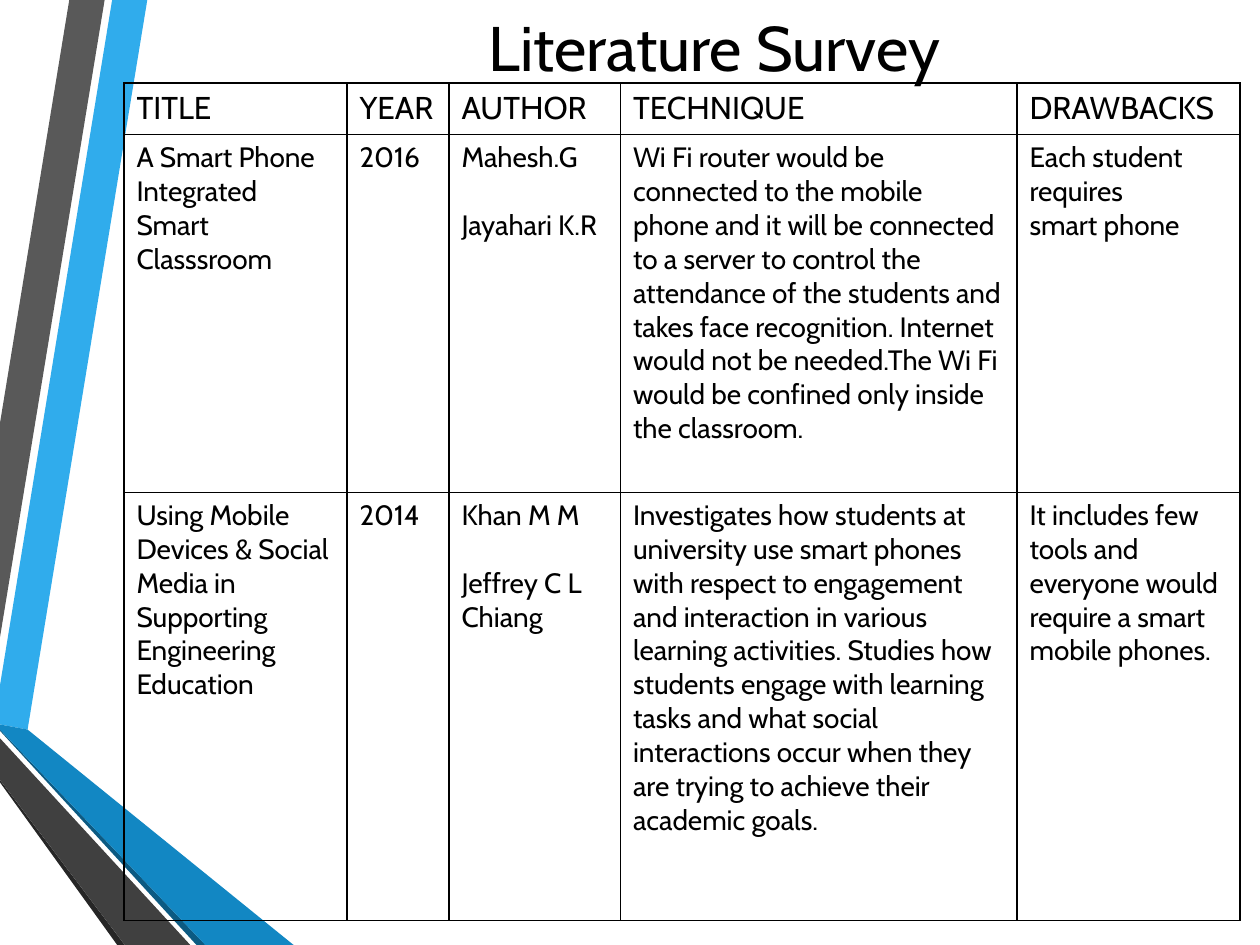
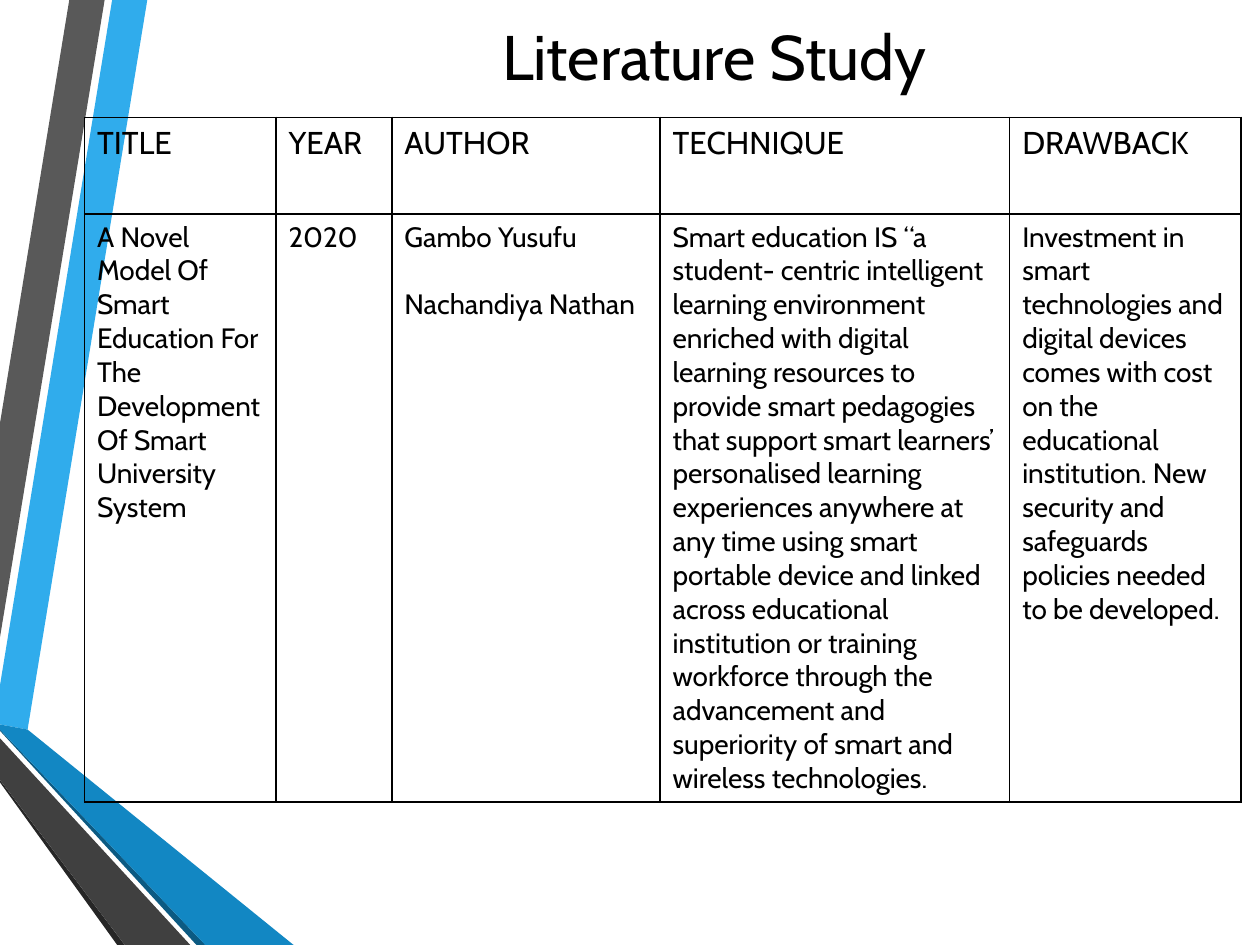
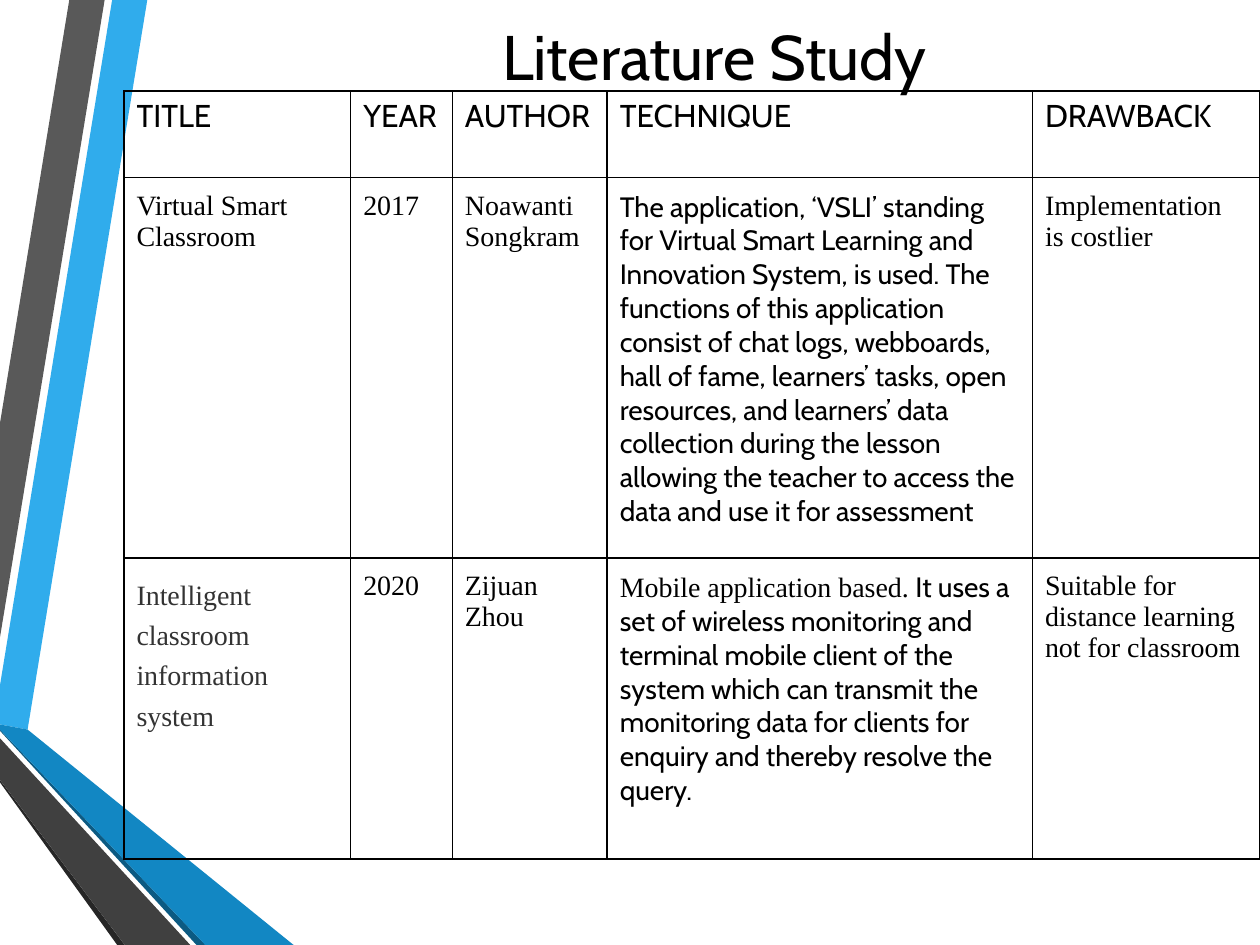
from lxml import etree
from pptx import Presentation
from pptx.dml.color import RGBColor
from pptx.enum.text import MSO_ANCHOR, PP_ALIGN
from pptx.oxml.ns import qn
from pptx.util import Pt

CENTER = PP_ALIGN.CENTER
MIDDLE = MSO_ANCHOR.MIDDLE
COLORS = {
    "text": "000000", "soft_text": "333333", "border": "000000",
    "sky": "30ACEC", "grey": "595959", "ink": "262626",
    "navy": "0C5A82", "blue": "1287C3", "charcoal": "404040",
}
BANDS = [
    ("sky", [(0, 391.7), (0, 414), (15.8, 416.9), (84.2, 0), (64.1, 0)]),
    ("grey", [(59.8, 0), (39.6, 0), (0, 241.9), (0, 364.3)]),
    ("ink", [(0, 445.7), (0, 447.1), (67, 540), (71.3, 540)]),
    ("navy", [(0, 416.9), (0, 417.6), (112.3, 540), (117.4, 540)]),
    ("blue", [(0, 416.9), (117.4, 540), (167.8, 540), (15.8, 416.9), (0, 414)]),
    ("charcoal", [(0, 445.7), (71.3, 540), (108.7, 540), (0, 421.9)]),
]
TITLE = {"size": 36, "name": "Cabin", "color": "text"}
HEADING = {"size": 18, "name": "Cabin", "color": "text"}
BODY = {"size": 16, "name": "Cabin", "color": "text"}
SERIF = {**BODY, "name": "Times New Roman"}
SOFT_SERIF = {**SERIF, "color": "soft_text"}
AUTHOR_COLUMN = 2
AUTHOR_GAP = 19.3
BORDER_WIDTH = 1
MARGINS = ("margin_left", "margin_top", "margin_right", "margin_bottom")
TIGHT = (7.2, 3.6, 7.2, 3.6)
ROOMY = (7.2, 7.2, 7.2, 7.2)
HEADINGS = ["TITLE", "YEAR", "AUTHOR", "TECHNIQUE"]

SURVEY_COLUMNS = [127.5, 58.3, 98, 226.6, 127.5]
SURVEY_ROWS = [
    ["A Smart Phone Integrated Smart Classsroom", "2016", "Mahesh.G\nJayahari K.R",
     "Wi Fi router would be connected to the mobile phone and it will be connected to a "
     "server to control the attendance of the students and takes face recognition. Internet "
     "would not be needed.The Wi Fi would be confined only inside the classroom.",
     "Each student requires\nsmart phone"],
    ["Using Mobile Devices & Social Media in Supporting Engineering Education", "2014",
     "Khan M M\nJeffrey C L Chiang",
     "Investigates how students at university use smart phones with respect to engagement "
     "and interaction in various learning activities. Studies how students engage with "
     "learning tasks and what social interactions occur when they are trying to achieve "
     "their academic goals.",
     "It includes few tools and everyone would require a smart mobile phones."],
]
MODEL_COLUMNS = [109.4, 66.2, 153.3, 199.8, 132.3]
MODEL_ROW = [
    "A Novel Model Of Smart Education For The Development Of Smart University System",
    "2020", "Gambo Yusufu\nNachandiya Nathan",
    "Smart education IS “a student- centric intelligent learning environment enriched with "
    "digital learning resources to provide smart pedagogies that support smart learners’ "
    "personalised learning experiences anywhere at any time using smart portable device and "
    "linked across educational institution or training workforce through the advancement and "
    "superiority of smart and wireless technologies.",
    "Investment in smart technologies and digital devices comes with cost on the educational "
    "institution. New security and safeguards policies needed to be developed.",
]
CLASSROOM_COLUMNS = [129.6, 58.1, 88.5, 243, 129.8]
CLASSROOM_ROWS = [
    ["Virtual Smart Classroom", "2017", "Noawanti Songkram",
     [("The application, ‘VSLI’ standing for Virtual Smart Learning and Innovation System, is "
       "used. The functions of this application consist of chat logs, webboards, hall of fame, "
       "learners’ tasks, open resources, and learners’ data collection during the lesson "
       "allowing the teacher to access the data and use it for assessment", BODY)],
     "Implementation is costlier"],
    [[("Intelligent classroom information system", SOFT_SERIF)], "2020", "Zijuan Zhou",
     [("Mobile application based.", SERIF),
      (" It uses a set of wireless monitoring and terminal mobile client of the system which "
       "can transmit the monitoring data for clients for enquiry and thereby resolve the "
       "query.", BODY)],
     "Suitable for distance learning not for classroom"],
]


def rgb(key):
    """Return the palette colour called key."""
    return RGBColor.from_string(COLORS[key])


def add_run(paragraph, text, style):
    """Append text to a paragraph in the given style."""
    run = paragraph.add_run()
    run.text = text
    for attribute, value in style.items():
        if attribute == "color":
            run.font.color.rgb = rgb(value)
        else:
            setattr(run.font, attribute, Pt(value) if attribute == "size" else value)


def set_margins(target, margins):
    """Set the four inner margins of a cell or text frame."""
    for side, length in zip(MARGINS, margins):
        setattr(target, side, Pt(length))


def draw_bands(slide):
    """Draw the folded ribbons on the left edge."""
    for color, points in BANDS:
        corners = [(Pt(x), Pt(y)) for x, y in points]
        outline = slide.shapes.build_freeform(*corners[0], scale=1.0)
        outline.add_line_segments(corners[1:], close=True)
        band = outline.convert_to_shape()
        band.shadow.inherit = False
        band.fill.solid()
        band.fill.fore_color.rgb = rgb(color)
        band.line.fill.background()


def draw_title(slide, text, top, height):
    """Write the centred slide title."""
    frame = slide.shapes.add_textbox(Pt(113), Pt(top), Pt(590.4), Pt(height)).text_frame
    frame.word_wrap = True
    frame.vertical_anchor = MIDDLE
    set_margins(frame, TIGHT)
    frame.paragraphs[0].alignment = CENTER
    add_run(frame.paragraphs[0], text, TITLE)


def draw_borders(cell):
    """Rule all four sides of a cell."""
    properties = cell._tc.get_or_add_tcPr()
    for side in ("a:lnL", "a:lnR", "a:lnT", "a:lnB"):
        line = etree.SubElement(properties, qn(side), w=str(Pt(BORDER_WIDTH)))
        fill = etree.SubElement(line, qn("a:solidFill"))
        etree.SubElement(fill, qn("a:srgbClr"), val=COLORS["border"])


def fill_cell(cell, content, style, margins, gap):
    """Write one cell, with gap points between its paragraphs."""
    draw_borders(cell)
    cell.fill.background()
    set_margins(cell, margins)
    if isinstance(content, str):
        paragraphs = [[(text, style)] for text in content.split("\n")]
    else:
        paragraphs = [content]
    frame = cell.text_frame
    for index, runs in enumerate(paragraphs):
        paragraph = frame.paragraphs[0] if index == 0 else frame.add_paragraph()
        if index:
            paragraph.space_before = Pt(gap)
        if runs[0][1] is SOFT_SERIF:
            paragraph.line_spacing = 1.3
        for text, run_style in runs:
            add_run(paragraph, text, run_style)


def draw_papers(slide, left, top, columns, heights, rows, style=BODY, margins=TIGHT):
    """Draw a table of papers; a row that opens with TITLE is its heading."""
    table = slide.shapes.add_table(len(rows), len(columns), Pt(left), Pt(top),
                                   Pt(sum(columns)), Pt(sum(heights))).table
    table.first_row = table.horz_banding = False
    for column, width in zip(table.columns, columns):
        column.width = Pt(width)
    for row, height, contents in zip(table.rows, heights, rows):
        row.height = Pt(height)
        heading = contents[0] == HEADINGS[0]
        for index, (cell, content) in enumerate(zip(row.cells, contents)):
            fill_cell(cell, content, HEADING if heading else style,
                      TIGHT if heading else margins,
                      AUTHOR_GAP if index == AUTHOR_COLUMN else 0)


def new_slide(deck, title, top, height):
    """Add a slide with the ribbons and a title."""
    slide = deck.slides.add_slide(deck.slide_layouts[6])
    draw_bands(slide)
    draw_title(slide, title, top, height)
    return slide


def main():
    """Build the three literature slides."""
    deck = Presentation()
    deck.slide_width, deck.slide_height = Pt(720), Pt(540)

    survey = new_slide(deck, "Literature Survey", 3.6, 45.4)
    draw_papers(survey, 70.8, 47.4, SURVEY_COLUMNS, [29.6, 204.4],
                [HEADINGS + ["DRAWBACKS"], SURVEY_ROWS[0]])
    draw_papers(survey, 70.8, 281.4, SURVEY_COLUMNS, [244.6], SURVEY_ROWS[1:])

    headings = HEADINGS + ["DRAWBACK"]
    model = new_slide(deck, "Literature Study", 9.4, 44)
    draw_papers(model, 48.3, 67, MODEL_COLUMNS, [55.2, 336], [headings, MODEL_ROW])

    classroom = new_slide(deck, "Literature Study", 9.4, 44)
    draw_papers(classroom, 70.8, 52, CLASSROOM_COLUMNS, [49.5, 217.5, 172],
                [headings] + CLASSROOM_ROWS, SERIF, ROOMY)

    deck.save("out.pptx")


if __name__ == "__main__":
    main()
